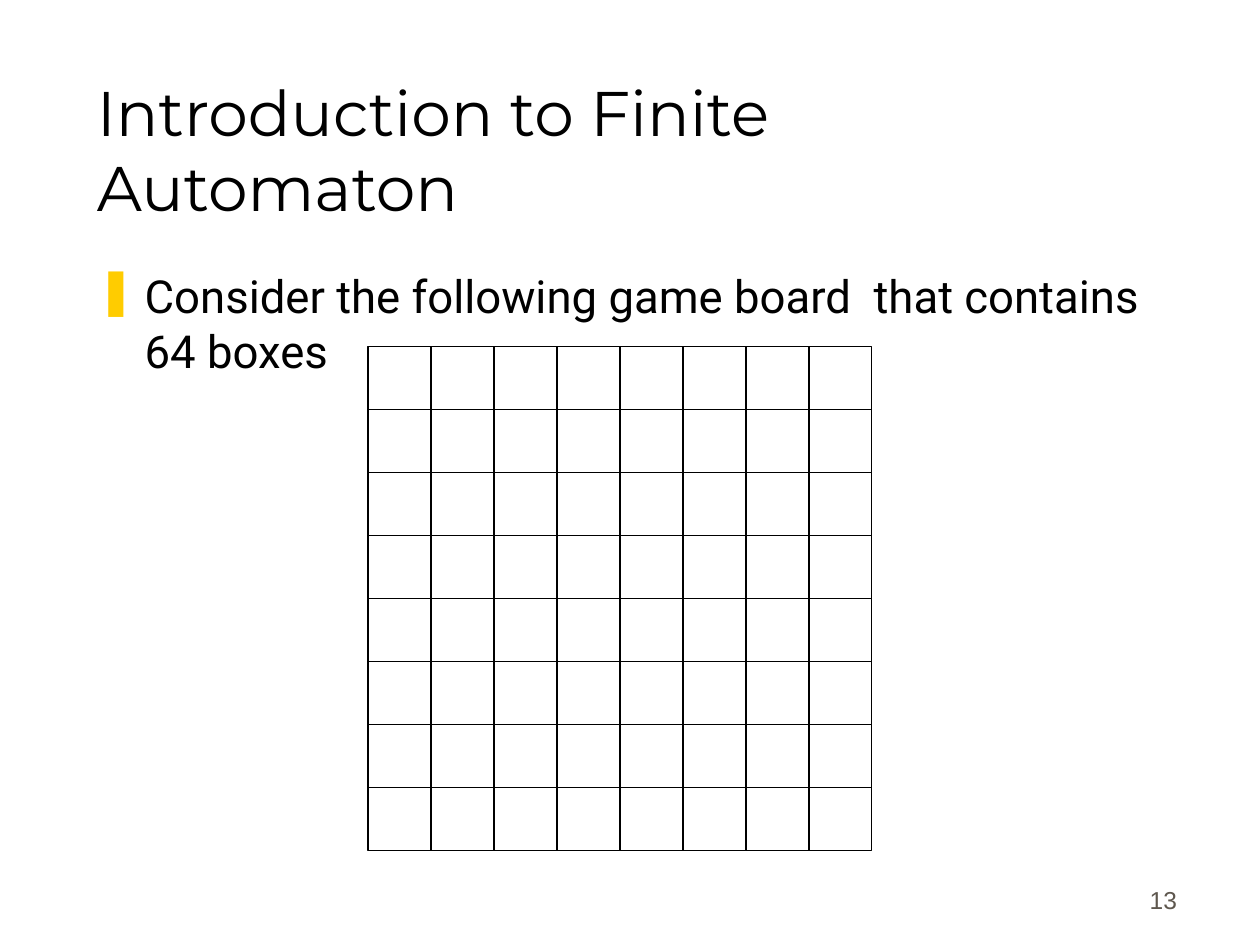
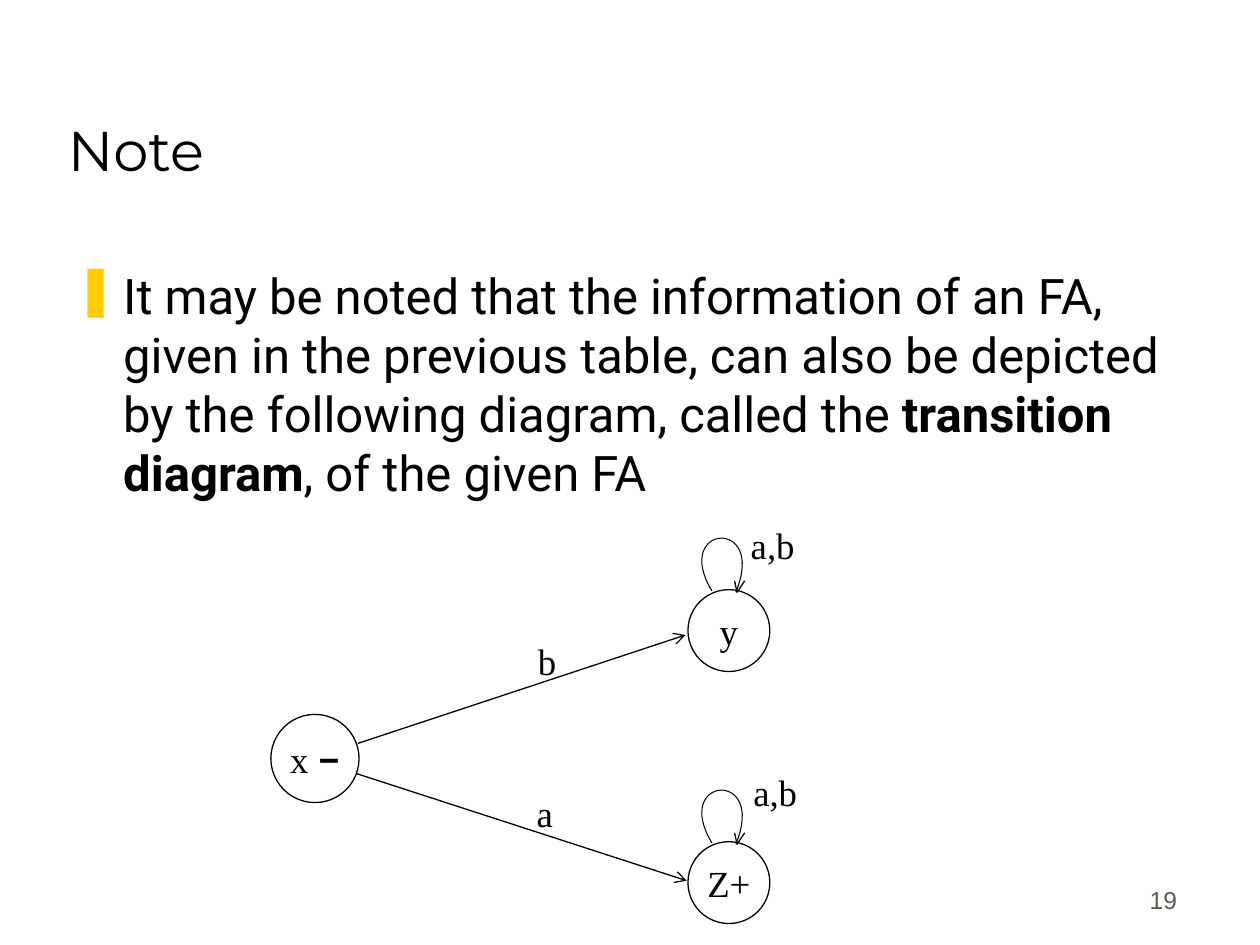
"""Build two slides on finite automata: a game board and a transition diagram."""
from lxml import etree
from pptx import Presentation
from pptx.dml.color import RGBColor
from pptx.enum.shapes import MSO_CONNECTOR, MSO_SHAPE
from pptx.enum.text import MSO_ANCHOR, PP_ALIGN
from pptx.oxml.ns import qn
from pptx.util import Inches, Pt

STRAIGHT = MSO_CONNECTOR.STRAIGHT
SQUARE, CIRCLE = MSO_SHAPE.RECTANGLE, MSO_SHAPE.OVAL
TOP, MIDDLE, BOTTOM = MSO_ANCHOR.TOP, MSO_ANCHOR.MIDDLE, MSO_ANCHOR.BOTTOM
LEFT, CENTER, RIGHT = PP_ALIGN.LEFT, PP_ALIGN.CENTER, PP_ALIGN.RIGHT

INK = RGBColor(0x00, 0x00, 0x00)
PAPER = RGBColor(0xFF, 0xFF, 0xFF)
NUMBER_GREY = RGBColor(0x5E, 0x57, 0x4E)
BULLET_GOLD = RGBColor(0xFF, 0xCC, 0x00)

SLIDE_WIDTH, SLIDE_HEIGHT = Inches(10), Inches(7.5)
COLUMN, ROW = SLIDE_WIDTH / 10, SLIDE_HEIGHT / 7.5

TITLE = {"name": "Montserrat", "size": Pt(36)}
BODY = {"name": "Roboto", "size": Pt(26)}
NUMBER = {"name": "Arial", "size": Pt(14)}
DIAGRAM = {"name": "Times New Roman", "size": Pt(21)}
DASH = {"name": "Roboto", "size": Pt(20), "bold": True}
NOTE_TITLE = {**TITLE, "size": Pt(32)}
NOTE_BODY = {**BODY, "size": Pt(28)}

NUMBER_PLACE = (7.36, 6.81, 2.08, 0.5)
INDENT = 0.38
LINE, LOOP_LINE = Pt(0.75), Pt(0.6)

PAGES = [
    {
        "number": "13",
        "title": [("Introduction to Finite Automaton", TITLE)],
        "title_place": (0.67, 0.58, 8.5, 1.25),
        "body": [("Consider the following game board  that contains 64 boxes", BODY)],
        "body_place": (0.67, 2.08, 8.5, 4.5),
        "space_before": 6.5,
    },
    {
        "number": "19",
        "title": [("Note", NOTE_TITLE)],
        "title_place": (0.44, 0.25, 8.5, 1.25),
        "body": [
            ("It may be noted that the information of an FA, given in the previous table, "
             "can also be depicted by the following diagram, called the ", NOTE_BODY),
            ("transition diagram", {**NOTE_BODY, "bold": True}),
            (", of the given FA", NOTE_BODY),
        ],
        "body_place": (0.5, 2.06, 8.94, 4.56),
        "space_before": 7,
    },
]

BOARD_LEFT, BOARD_TOP, BOARD_SIDE = 2.92, 2.75, 4
STATES = [
    ([("x ", DIAGRAM), ("–", DASH)], 2.15, 5.67, 0.7),
    ([("y", DIAGRAM)], 5.46, 4.68, 0.65),
    ([("Z+", DIAGRAM)], 5.46, 6.68, 0.65),
]
TRANSITIONS = [((2.84, 5.9), (5.44, 5.04)), ((2.83, 6.14), (5.45, 6.99))]
LABELS = [("b", 4.17, 5.02), ("a", 4.16, 6.23), ("a,b", 5.86, 4.1), ("a,b", 5.88, 6.06)]
LABEL_SIZE = (0.98, 0.68)
LOOP_CURVE = [(0.19, 0.01), (-0.13, -0.52), (0.63, -0.58), (0.38, 0.02)]
LOOP_HEAD = [(0.45, -0.07), (0.39, 0.02), (0.37, -0.07)]
LOOP_STEPS = 32


def on_grid(*lengths):
    """Turn alternating column and row lengths into slide units."""
    return [round(length * (ROW if index % 2 else COLUMN))
            for index, length in enumerate(lengths)]


def write(shape, runs, colour=INK, anchor=TOP, align=LEFT, space_before=0, wrap=True):
    """Fill a shape with one paragraph of styled runs."""
    frame = shape.text_frame
    frame.word_wrap, frame.vertical_anchor = wrap, anchor
    paragraph = frame.paragraphs[0]
    paragraph.alignment, paragraph.space_before = align, Pt(space_before)
    for words, style in runs:
        run = paragraph.add_run()
        run.text = words
        run.font.color.rgb = colour
        for key, value in style.items():
            setattr(run.font, key, value)
    return paragraph


def add_text(slide, place, runs, **layout):
    """Add a text box at a grid place."""
    return write(slide.shapes.add_textbox(*on_grid(*place)), runs, **layout)


def add_bullet(paragraph):
    """Give a paragraph the golden bar bullet and a hanging indent."""
    properties = paragraph._p.get_or_add_pPr()
    properties.set("marL", str(Inches(INDENT)))
    properties.set("indent", str(-Inches(INDENT)))
    colour = etree.SubElement(properties, qn("a:buClr"))
    etree.SubElement(colour, qn("a:srgbClr"), val=str(BULLET_GOLD))
    etree.SubElement(properties, qn("a:buChar"), char="❚")


def outline(shape, width=LINE):
    """Draw a shape's line in ink."""
    shape.line.color.rgb = INK
    shape.line.width = width


def add_box(slide, kind, place, fill=None):
    """Add an outlined preset shape, filled or clear."""
    box = slide.shapes.add_shape(kind, *on_grid(*place))
    box.shadow.inherit = False
    outline(box)
    if fill is None:
        box.fill.background()
    else:
        box.fill.solid()
        box.fill.fore_color.rgb = fill
    return box


def add_line(slide, start, end, arrow=False):
    """Add a straight line, with an open arrowhead at its end if asked."""
    line = slide.shapes.add_connector(STRAIGHT, *on_grid(*start, *end))
    outline(line)
    if arrow:
        etree.SubElement(line.line._get_or_add_ln(), qn("a:tailEnd"),
                         type="arrow", w="med", len="med")
    etree.SubElement(line._element.spPr, qn("a:effectLst"))


def add_stroke(slide, points, width=LINE):
    """Add an open unfilled outline through grid points."""
    start, *rest = [on_grid(*point) for point in points]
    builder = slide.shapes.build_freeform(*start)
    builder.add_line_segments(rest, close=False)
    stroke = builder.convert_to_shape()
    stroke.shadow.inherit = False
    stroke.fill.background()
    outline(stroke, width)


def curve_points(controls):
    """Sample a cubic curve evenly."""
    for step in range(LOOP_STEPS + 1):
        t = step / LOOP_STEPS
        weights = ((1 - t) ** 3, 3 * t * (1 - t) ** 2, 3 * t * t * (1 - t), t ** 3)
        yield tuple(sum(weight * point[axis] for weight, point in zip(weights, controls))
                    for axis in (0, 1))


def add_loop(slide, left, top):
    """Add a self-transition above the state at left, top."""
    for points, width in ((curve_points(LOOP_CURVE), LOOP_LINE), (LOOP_HEAD, LINE)):
        add_stroke(slide, [(left + x, top + y) for x, y in points], width)


def add_board(slide):
    """Draw squares of one unit and halve them into 64 boxes."""
    for row in range(BOARD_SIDE):
        for column in range(BOARD_SIDE):
            add_box(slide, SQUARE, (BOARD_LEFT + column, BOARD_TOP + row, 1, 1))
    right, bottom = BOARD_LEFT + BOARD_SIDE, BOARD_TOP + BOARD_SIDE
    for index in range(BOARD_SIDE):
        x, y = BOARD_LEFT + index + 0.5, BOARD_TOP + index + 0.5
        add_line(slide, (x, BOARD_TOP), (x, bottom))
        add_line(slide, (BOARD_LEFT, y), (right, y))


def add_diagram(slide):
    """Draw the states, their transitions and the input letters."""
    for name, left, top, size in STATES:
        state = add_box(slide, CIRCLE, (left, top, size, size), PAPER)
        write(state, name, anchor=MIDDLE, align=CENTER, wrap=False)
    for start, end in TRANSITIONS:
        add_line(slide, start, end, arrow=True)
    for _, left, top, _ in STATES[1:]:
        add_loop(slide, left, top)
    for letters, left, top in LABELS:
        add_text(slide, (left, top, *LABEL_SIZE), [(letters, DIAGRAM)])


def add_page(deck, page, add_figure):
    """Add a slide with number, title, figure and bulleted body."""
    slide = deck.slides.add_slide(deck.slide_layouts[6])
    slide.background.fill.solid()
    slide.background.fill.fore_color.rgb = PAPER
    add_text(slide, NUMBER_PLACE, [(page["number"], NUMBER)], colour=NUMBER_GREY,
             anchor=BOTTOM, align=RIGHT, space_before=8.8)
    add_text(slide, page["title_place"], page["title"], anchor=BOTTOM)
    add_figure(slide)
    add_bullet(add_text(slide, page["body_place"], page["body"],
                        space_before=page["space_before"]))


def main():
    """Build and save the deck."""
    deck = Presentation()
    deck.slide_width, deck.slide_height = SLIDE_WIDTH, SLIDE_HEIGHT
    for page, add_figure in zip(PAGES, (add_board, add_diagram)):
        add_page(deck, page, add_figure)
    deck.save("out.pptx")


if __name__ == "__main__":
    main()
